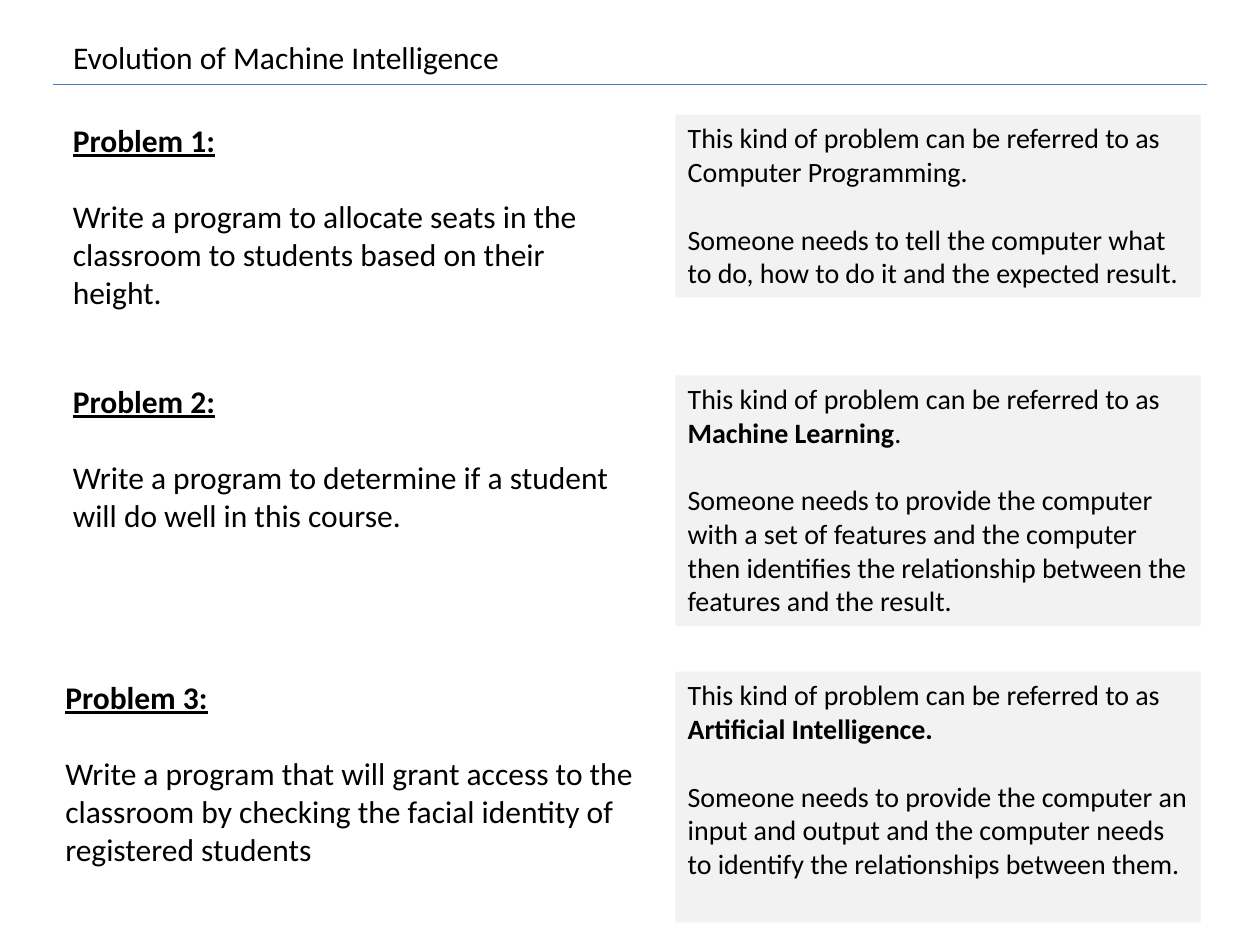
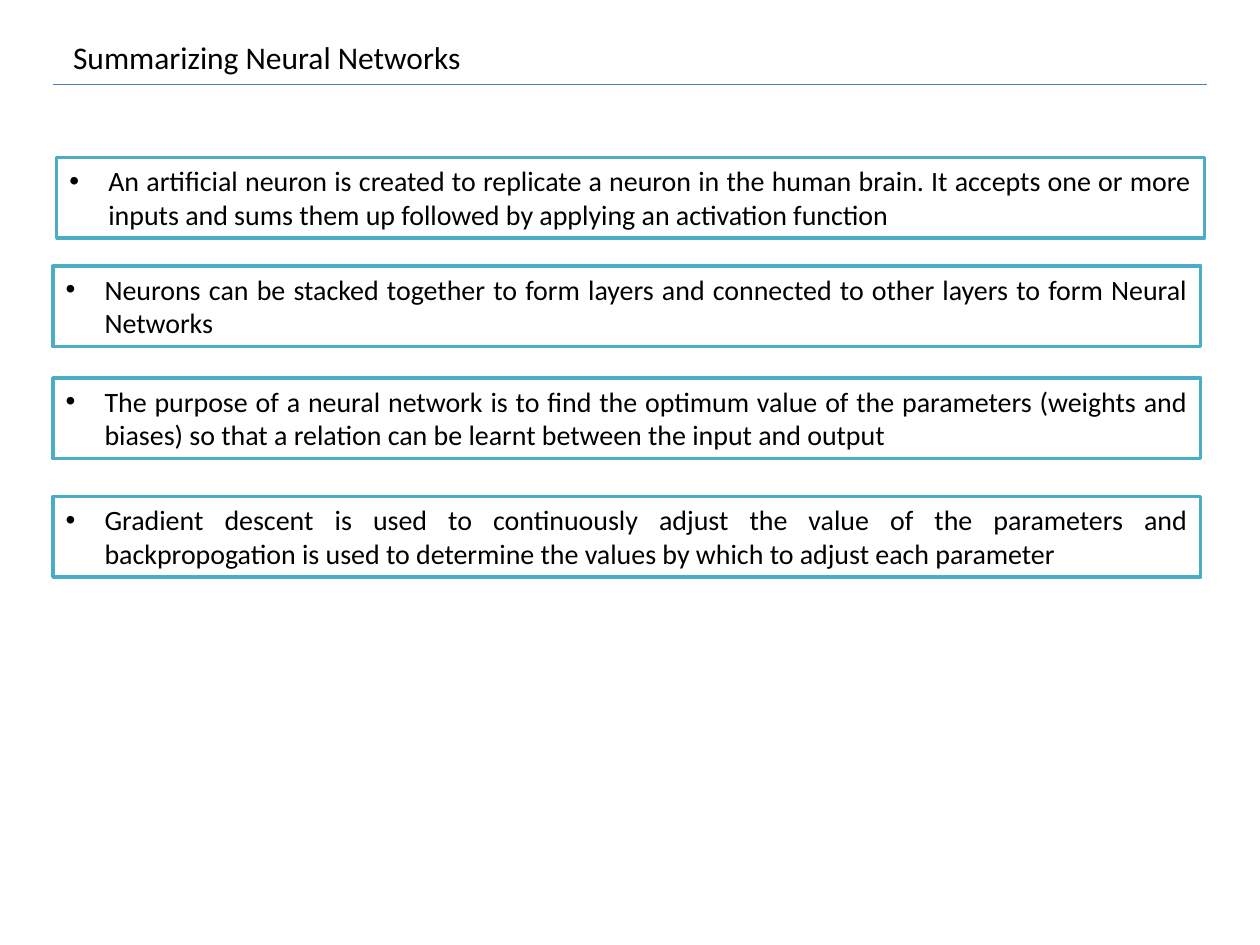
from dataclasses import dataclass

from lxml import etree
from pptx import Presentation
from pptx import util as u
from pptx.dml.color import RGBColor
from pptx.enum import shapes, text
from pptx.oxml import ns


@dataclass(frozen=True)
class Theme:
    font: str = "Calibri"
    ink: str = "000000"
    rule: str = "4B7EBC"
    panel: str = "F2F2F2"
    paper: str = "FFFFFF"
    edge: str = "4BACC6"
    large: int = 18
    small: int = 16
    thin: float = 0.75
    thick: float = 2
    leading: float = 1.22


@dataclass(frozen=True)
class Box:
    col: float
    row: float
    cols: float
    rows: float


@dataclass(frozen=True)
class Problem:
    name: str
    task: str
    left: float
    top: float
    width: float
    depth: float
    kind: str
    strong: str
    tail: str
    detail: str
    height: float


@dataclass(frozen=True)
class Point:
    words: str
    left: float
    top: float


THEME = Theme()
WIDE, HIGH = u.Inches(10), u.Inches(7.5)
COLS, ROWS = 100, 75
LEAD = "This kind of problem can be referred to as "

PROBLEMS = (
    Problem(
        "Problem 1:",
        "Write a program to allocate seats in the classroom to students based on their height.",
        4.8, 9.1, 45, 16.2,
        "Computer Programming.", "", "",
        "Someone needs to tell the computer what to do, how to do it and the expected result.",
        14.5,
    ),
    Problem(
        "Problem 2:",
        "Write a program to determine if a student will do well in this course.",
        4.8, 29.8, 47.7, 13.1,
        "", "Machine Learning", ".",
        "Someone needs to provide the computer with a set of features and the computer "
        "then identifies the relationship between the features and the result.",
        19.9,
    ),
    Problem(
        "Problem 3:",
        "Write a program that will grant access to the classroom by checking the facial "
        "identity of registered students",
        4.2, 53.3, 48.3, 16.2,
        "", "Artificial Intelligence.", "",
        "Someone needs to provide the computer an input and output and the computer needs "
        "to identify the relationships between them.",
        19.9,
    ),
)

POINTS = (
    Point(
        "An artificial neuron is created to replicate a neuron in the human brain. It accepts "
        "one or more inputs and sums them up followed by applying an activation function",
        4.5, 12.5,
    ),
    Point(
        "Neurons can be stacked together to form layers and connected to other layers to form "
        "Neural Networks",
        4.2, 21.1,
    ),
    Point(
        "The purpose of a neural network is to find the optimum value of the parameters "
        "(weights and biases) so that a relation can be learnt between the input and output",
        4.2, 30,
    ),
    Point(
        "Gradient descent is used to continuously adjust the value of the parameters and "
        "backpropogation is used to determine the values by which to adjust each parameter",
        4.2, 39.4,
    ),
)


def across(cols: float) -> int:
    return round(WIDE * cols / COLS)


def down(rows: float) -> int:
    return round(HIGH * rows / ROWS)


def frame(box: Box) -> tuple[int, int, int, int]:
    return across(box.col), down(box.row), across(box.cols), down(box.rows)


def place(shape, box: Box) -> None:
    shape.left, shape.top, shape.width, shape.height = frame(box)


def tint(fill, hue: str) -> None:
    fill.solid()
    fill.fore_color.rgb = RGBColor.from_string(hue)


def stroke(line, hue: str, width: float) -> None:
    tint(line.fill, hue)
    line.width = u.Pt(width)


def setup(body) -> None:
    body.word_wrap = True
    body.auto_size = text.MSO_AUTO_SIZE.NONE
    body.vertical_anchor = text.MSO_ANCHOR.TOP


def style(para, size: int, gap: float = 0, align=text.PP_ALIGN.LEFT) -> None:
    para.alignment = align
    para.space_before = u.Pt(gap)
    for run in para.runs:
        font = run.font
        font.name, font.size = THEME.font, u.Pt(size)
        font.color.rgb = RGBColor.from_string(THEME.ink)
        font.bold = bool(font.bold)


def pair(body, head: str, rest: str, size: int) -> None:
    setup(body)
    body.text = head
    last = body.add_paragraph()
    last.text = rest
    style(body.paragraphs[0], size)
    style(last, size, size * THEME.leading)


def bullet(para) -> None:
    props = para._p.get_or_add_pPr()
    dent = across(3.1)
    props.set("marL", str(dent))
    props.set("indent", str(-dent))
    etree.SubElement(props, ns.qn("a:buFont")).set("typeface", "Arial")
    etree.SubElement(props, ns.qn("a:buChar")).set("char", "•")


def start(deck, layout: int, title: str):
    slide = deck.slides.add_slide(deck.slide_layouts[layout])
    tint(slide.background.fill, THEME.paper)
    line = slide.shapes.add_connector(
        shapes.MSO_CONNECTOR.STRAIGHT, across(4.2), down(6.7), across(95.8), down(6.7)
    )
    stroke(line.line, THEME.rule, THEME.thin)
    etree.SubElement(line._element.spPr, ns.qn("a:effectLst"))
    head = slide.shapes.title
    place(head, Box(4.8, 2.5, 91, 4))
    setup(head.text_frame)
    head.text_frame.text = title
    style(head.text_frame.paragraphs[0], THEME.large)
    return slide


def pose(slide, item: Problem) -> None:
    note = slide.shapes.add_textbox(*frame(Box(item.left, item.top, item.width, item.depth)))
    pair(note.text_frame, item.name, item.task, THEME.large)
    font = note.text_frame.paragraphs[0].runs[0].font
    font.bold = font.underline = True


def answer(slide, item: Problem) -> None:
    panel = slide.shapes.add_shape(
        shapes.MSO_SHAPE.RECTANGLE, *frame(Box(53.6, item.top, 41.7, item.height))
    )
    panel.shadow.inherit = False
    tint(panel.fill, THEME.panel)
    panel.line.fill.background()
    body = panel.text_frame
    pair(body, LEAD + item.kind, item.detail, THEME.small)
    first = body.paragraphs[0]
    for words, bold in ((item.strong, True), (item.tail, False)):
        if words:
            run = first.add_run()
            run.text, run.font.bold = words, bold
    style(first, THEME.small)


def state(holder, item: Point) -> None:
    place(holder, Box(item.left, item.top, 91.1, 6.4))
    tint(holder.fill, THEME.paper)
    stroke(holder.line, THEME.edge, THEME.thick)
    body = holder.text_frame
    setup(body)
    body.text = item.words
    para = body.paragraphs[0]
    bullet(para)
    style(para, THEME.small, align=text.PP_ALIGN.JUSTIFY)


def main() -> None:
    deck = Presentation()
    deck.slide_width, deck.slide_height = WIDE, HIGH

    slide = start(deck, 5, "Evolution of Machine Intelligence")
    for draw in (pose, answer):
        for item in PROBLEMS:
            draw(slide, item)

    slide = start(deck, 4, "Summarizing Neural Networks")
    for spot, item in enumerate(POINTS, 1):
        state(slide.placeholders[spot], item)

    deck.save("out.pptx")


if __name__ == "__main__":
    main()
